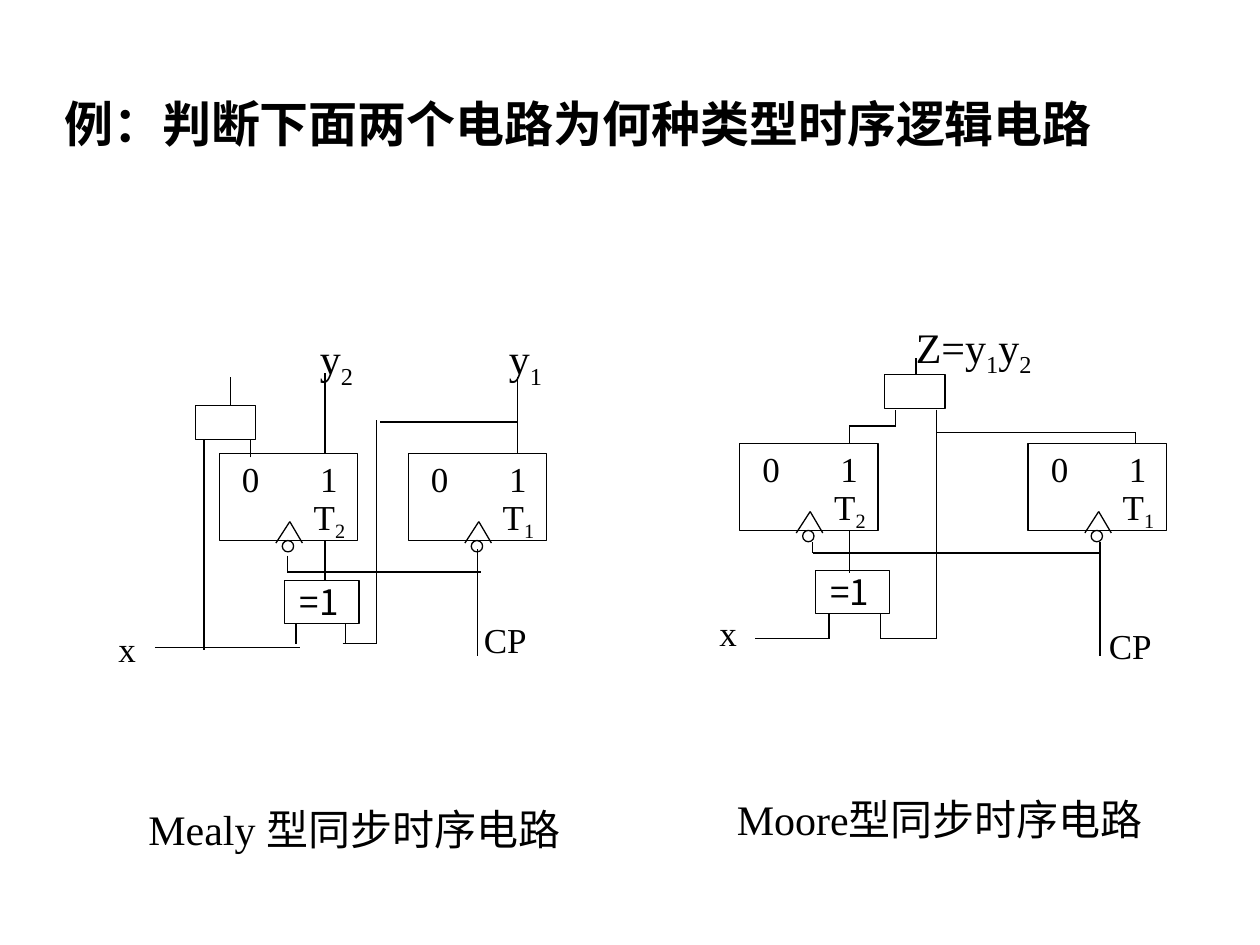
import pptx
import pptx.util
import pptx.dml.color
import pptx.enum.shapes
import pptx.enum.text
import pptx.oxml.ns
import lxml.etree

BLACK = pptx.dml.color.RGBColor(0, 0, 0)
WHITE = pptx.dml.color.RGBColor(255, 255, 255)
SERIF = "Times New Roman"
SANS = "Noto Sans CJK SC"
RECTANGLE = pptx.enum.shapes.MSO_SHAPE.RECTANGLE
OVAL = pptx.enum.shapes.MSO_SHAPE.OVAL
TOP = pptx.enum.text.MSO_ANCHOR.TOP
MIDDLE = pptx.enum.text.MSO_ANCHOR.MIDDLE
FIT_SHAPE = pptx.enum.text.MSO_AUTO_SIZE.TO_FIT_TEXT if hasattr(
    pptx.enum.text.MSO_AUTO_SIZE, "TO_FIT_TEXT") else pptx.enum.text.MSO_AUTO_SIZE.SHAPE_TO_FIT_TEXT
PX_PER_INCH = 100


def px(length):
    return pptx.util.Emu(length * 914400 // PX_PER_INCH)


def place(origin, box):
    left, top, width, height = box
    return [px(v) for v in (origin[0] + left, origin[1] + top, width, height)]


def style_run(run, size, font=SERIF, bold=False):
    run.font.size = pptx.util.Pt(size)
    run.font.name = font
    run.font.bold = bold
    run.font.color.rgb = BLACK


def write(holder, pieces, size, font=SERIF, margins=(0, 0, 0, 0), anchor=TOP):
    frame = holder.text_frame
    frame.margin_left, frame.margin_top, frame.margin_right, frame.margin_bottom = map(px, margins)
    frame.vertical_anchor = anchor
    frame.word_wrap = True
    paragraph = frame.paragraphs[0]
    paragraph.alignment = pptx.enum.text.PP_ALIGN.JUSTIFY
    for position, piece in enumerate(pieces):
        run = paragraph.add_run()
        run.text = piece
        style_run(run, size, font)
        if position % 2:
            run._r.get_or_add_rPr().set("baseline", "-25000")


def outline(shapes, origin, box, kind=RECTANGLE, filled=True, lined=True):
    part = shapes.add_shape(kind, *place(origin, box))
    part.shadow.inherit = False
    if filled:
        part.fill.solid()
        part.fill.fore_color.rgb = WHITE
    else:
        part.fill.background()
    if lined:
        part.line.color.rgb = BLACK
        part.line.width = pptx.util.Pt(0.75)
    else:
        part.line.fill.background()
    return part


def wire(shapes, origin, *points):
    for start, end in zip(points, points[1:]):
        ends = [px(origin[i % 2] + v) for i, v in enumerate(start + end)]
        segment = shapes.add_connector(pptx.enum.shapes.MSO_CONNECTOR.STRAIGHT, *ends)
        segment.line.color.rgb = BLACK
        segment.line.width = pptx.util.Pt(0.75)
        lxml.etree.SubElement(segment._element.spPr, pptx.oxml.ns.qn("a:effectLst"))


def pin_label(shapes, origin, box, *pieces):
    write(shapes.add_textbox(*place(origin, box)), pieces, 20)


def input_label(shapes, origin, box, name):
    write(outline(shapes, origin, box, lined=False), [name], 20)


def output_label(shapes, origin, box, *pieces):
    label = shapes.add_textbox(*place(origin, box))
    write(label, pieces, 24, margins=(10, 5, 10, 5))
    label.text_frame.word_wrap = False
    label.text_frame.paragraphs[0].alignment = pptx.enum.text.PP_ALIGN.LEFT


def flip_flop(shapes, origin, offset, index):
    corner = (origin[0] + offset[0], origin[1] + offset[1])
    outline(shapes, corner, (0, 0, 110, 69))
    outline(shapes, corner, (50, 69, 9, 9), OVAL)
    wire(shapes, corner, (45, 71), (56, 54), (66, 71))
    pin_label(shapes, corner, (80, 3, 14, 27), "1")
    pin_label(shapes, corner, (18, 3, 16, 32), "0")
    pin_label(shapes, corner, (75, 33, 27, 34), "T", index)


def xor_gate(shapes, origin, left, top):
    gate = outline(shapes, origin, (left, top, 59, 34), filled=False)
    write(gate, ["=1"], 20, SANS, (12, 0, 10, 1), MIDDLE)


def and_gate(shapes, origin, left, top):
    outline(shapes, origin, (left, top, 48, 27))


def mealy_circuit(slide, origin):
    shapes = slide.shapes.add_group_shape().shapes
    flip_flop(shapes, origin, (80, 101), "2")
    flip_flop(shapes, origin, (230, 101), "1")
    for points in (
        [(164, 101), (164, 37)],
        [(105, 104), (105, 88)],
        [(134, 182), (134, 195), (288, 195)],
        [(68, 90), (68, 257)],
        [(89, 63), (89, 40)],
        [(29, 255), (144, 255)],
        [(285, 177), (285, 262)],
        [(164, 202), (164, 170)],
        [(141, 252), (141, 236)],
        [(180, 252), (180, 236)],
        [(178, 252), (205, 252), (205, 74)],
        [(208, 76), (317, 76)],
        [(317, 101), (317, 40)],
    ):
        wire(shapes, origin, *points)
    and_gate(shapes, origin, 61, 63)
    xor_gate(shapes, origin, 132, 202)
    input_label(shapes, origin, (0, 239, 25, 32), "x")
    input_label(shapes, origin, (290, 232, 43, 34), "CP")
    output_label(shapes, origin, (150, 0, 48, 50), "y", "2")
    output_label(shapes, origin, (300, 0, 48, 50), "y", "1")


def moore_circuit(slide, origin):
    shapes = slide.shapes.add_group_shape().shapes
    flip_flop(shapes, origin, (245, 102), "1")
    flip_flop(shapes, origin, (16, 102), "2")
    xor_gate(shapes, origin, 76, 203)
    and_gate(shapes, origin, 131, 47)
    for points in (
        [(74, 180), (74, 189), (302, 189)],
        [(302, 180), (302, 271)],
        [(330, 102), (330, 93), (172, 93)],
        [(172, 75), (172, 257), (128, 257), (128, 237)],
        [(103, 102), (103, 88), (140, 88), (140, 75)],
        [(156, 47), (156, 34)],
        [(103, 171), (103, 205)],
        [(87, 237), (87, 257), (28, 257)],
    ):
        wire(shapes, origin, *points)
    input_label(shapes, origin, (0, 235, 25, 32), "x")
    input_label(shapes, origin, (309, 246, 54, 29), "CP")
    output_label(shapes, origin, (146, 0, 115, 50), "Z=y", "1", "y", "2")


def caption(slide, box, words):
    answer = slide.shapes.add_textbox(*place((0, 0), box))
    frame = answer.text_frame
    frame.word_wrap = True
    frame.auto_size = FIT_SHAPE
    frame.text = words
    style_run(frame.paragraphs[0].runs[0], 24)


def heading(slide, box, words):
    question = slide.shapes.title
    question.left, question.top, question.width, question.height = place((0, 0), box)
    frame = question.text_frame
    frame.text = words
    frame.word_wrap = True
    frame.auto_size = pptx.enum.text.MSO_AUTO_SIZE.NONE
    frame.vertical_anchor = TOP
    frame.paragraphs[0].alignment = pptx.enum.text.PP_ALIGN.LEFT
    style_run(frame.paragraphs[0].runs[0], 28, bold=True)


def main():
    deck = pptx.Presentation()
    deck.slide_width, deck.slide_height = px(1000), px(750)
    slide = deck.slides.add_slide(deck.slide_layouts[5])
    heading(slide, (41, 69, 884, 57), "例：判断下面两个电路为何种类型时序逻辑电路")
    moore_circuit(slide, (571, 250))
    mealy_circuit(slide, (94, 259))
    caption(slide, (108, 633, 367, 50), "Mealy 型同步时序电路")
    caption(slide, (575, 625, 350, 50), "Moore型同步时序电路")
    deck.save("out.pptx")


if __name__ == "__main__":
    main()
